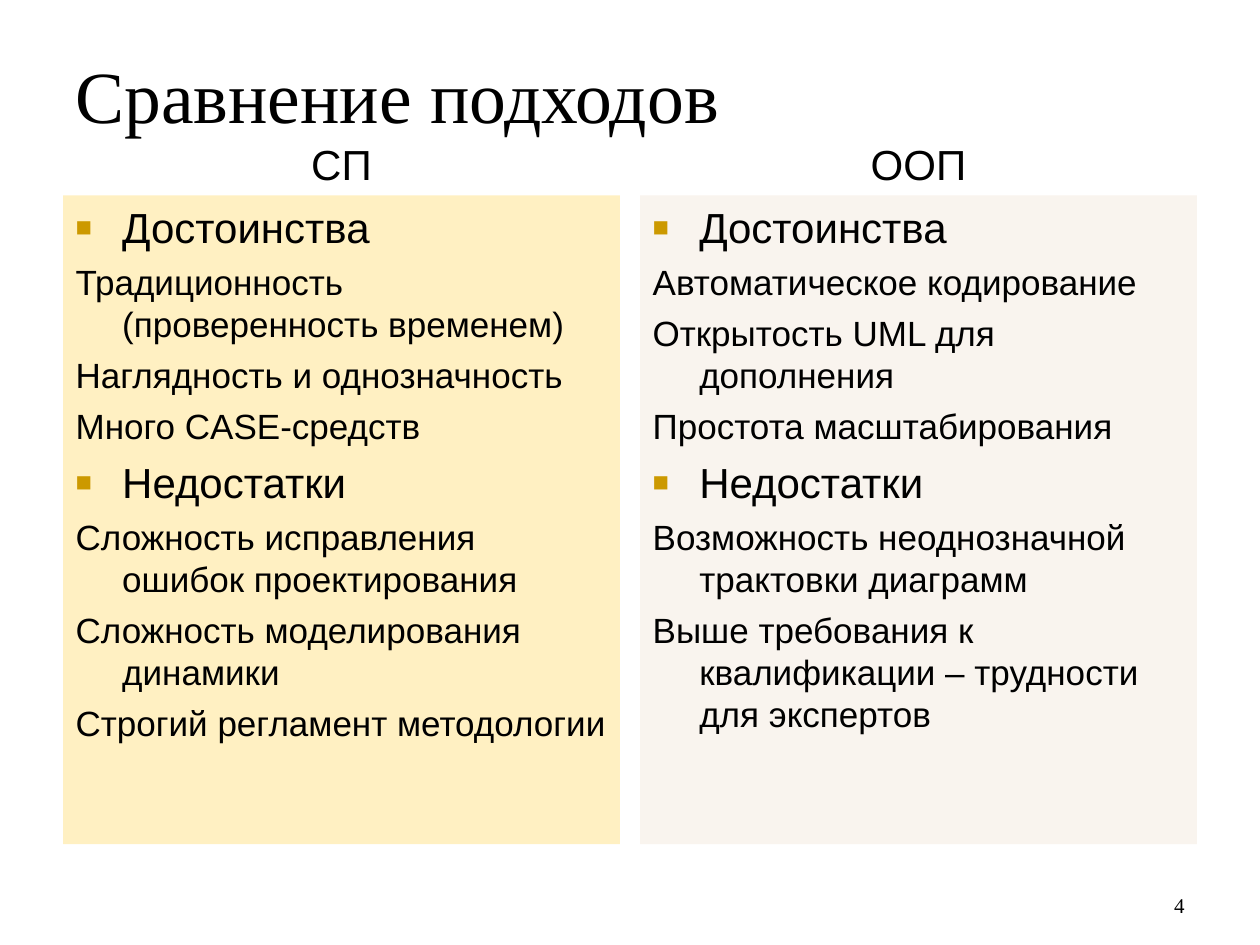
from dataclasses import dataclass

from lxml import etree
from pptx import Presentation
from pptx import util as u
from pptx.dml.color import RGBColor
from pptx.enum import text
from pptx.oxml.ns import qn

BLACK = "000000"
SANS, SERIF = "Arial", "Times New Roman"
MARGIN, COLUMN_WIDTH, COLUMN_GAP = 0.5, 4.42, 0.16
HEADING_TOP, HEADING_HEIGHT, LIST_HEIGHT = 0.85, 0.7, 5.15


@dataclass
class Approach:
    name: str
    fill: str
    advantages: list[str]
    drawbacks: list[str]


APPROACHES = [
    Approach(
        "СП", "FFF0C2",
        ["Традиционность (проверенность временем)",
         "Наглядность и однозначность",
         "Много CASE-средств"],
        ["Сложность исправления ошибок проектирования",
         "Сложность моделирования динамики",
         "Строгий регламент методологии"],
    ),
    Approach(
        "ООП", "F9F4EE",
        ["Автоматическое кодирование",
         "Открытость UML для дополнения",
         "Простота масштабирования"],
        ["Возможность неоднозначной трактовки диаграмм",
         "Выше требования к квалификации – трудности для экспертов"],
    ),
]


def color(value: str) -> RGBColor:
    return RGBColor.from_string(value)


def place(box, left: float, top: float, width: float, height: float, anchor) -> None:
    box.left, box.top = u.Inches(left), u.Inches(top)
    box.width, box.height = u.Inches(width), u.Inches(height)
    frame = box.text_frame
    frame.word_wrap = True
    frame.auto_size = text.MSO_AUTO_SIZE.NONE
    frame.vertical_anchor = anchor


def style(para, font: str, size: float, align=text.PP_ALIGN.LEFT, before: float = 0) -> None:
    para.alignment = align
    para.space_before = u.Pt(before)
    para.font.name, para.font.size = font, u.Pt(size)
    para.font.bold = False
    para.font.color.rgb = color(BLACK)


def set_bullet(para, marked: bool) -> None:
    props = para._p.get_or_add_pPr()
    props.set("marL", str(u.Inches(0.37)))
    props.set("indent", str(-u.Inches(0.37)))
    if not marked:
        etree.SubElement(props, qn("a:buNone"))
        return
    tint = etree.SubElement(props, qn("a:buClr"))
    etree.SubElement(tint, qn("a:srgbClr"), val="CC9900")
    etree.SubElement(props, qn("a:buSzPct"), val="65000")
    etree.SubElement(props, qn("a:buFont"), typeface=SANS)
    etree.SubElement(props, qn("a:buChar"), char="■")


def add_item(frame, wording: str, marked: bool) -> None:
    first = not frame.text
    para = frame.paragraphs[0] if first else frame.add_paragraph()
    para.text = wording
    set_bullet(para, marked)
    before = 0 if first else 6 if marked else 5
    style(para, SANS, 24 if marked else 20, before=before)


def fill_column(heading, body, approach: Approach, left: float) -> None:
    place(heading, left, HEADING_TOP, COLUMN_WIDTH, HEADING_HEIGHT, text.MSO_ANCHOR.BOTTOM)
    heading.text_frame.text = approach.name
    style(heading.text_frame.paragraphs[0], SANS, 24, text.PP_ALIGN.CENTER)

    place(body, left, HEADING_TOP + HEADING_HEIGHT, COLUMN_WIDTH, LIST_HEIGHT,
          text.MSO_ANCHOR.TOP)
    body.fill.solid()
    body.fill.fore_color.rgb = color(approach.fill)
    sections = (("Достоинства", approach.advantages), ("Недостатки", approach.drawbacks))
    for section, items in sections:
        add_item(body.text_frame, section, marked=True)
        for item in items:
            add_item(body.text_frame, item, marked=False)


def add_page_number(page, number: int) -> None:
    box = page.shapes.add_textbox(0, 0, 0, 0)
    place(box, 7.17, 6.83, 2.33, 0.5, text.MSO_ANCHOR.BOTTOM)
    para = box.text_frame.paragraphs[0]
    para.text = str(number)
    style(para, SERIF, 12, text.PP_ALIGN.RIGHT)


def main() -> None:
    deck = Presentation()
    deck.slide_width, deck.slide_height = u.Inches(10), u.Inches(7.5)
    page = deck.slides.add_slide(deck.slide_layouts.get_by_name("Comparison"))

    # Title
    title = page.shapes.title
    place(title, MARGIN, 0.3, 9, 1.25, text.MSO_ANCHOR.TOP)
    title.text_frame.margin_top = u.Inches(0.1)
    title.text_frame.text = "Сравнение подходов"
    style(title.text_frame.paragraphs[0], SERIF, 42)

    # Two columns, each a heading over a list
    holders = page.placeholders
    for index, approach in enumerate(APPROACHES):
        left = MARGIN + index * (COLUMN_WIDTH + COLUMN_GAP)
        fill_column(holders[1 + 2 * index], holders[2 + 2 * index], approach, left)

    # Page number
    add_page_number(page, 4)

    deck.save("out.pptx")


if __name__ == "__main__":
    main()
